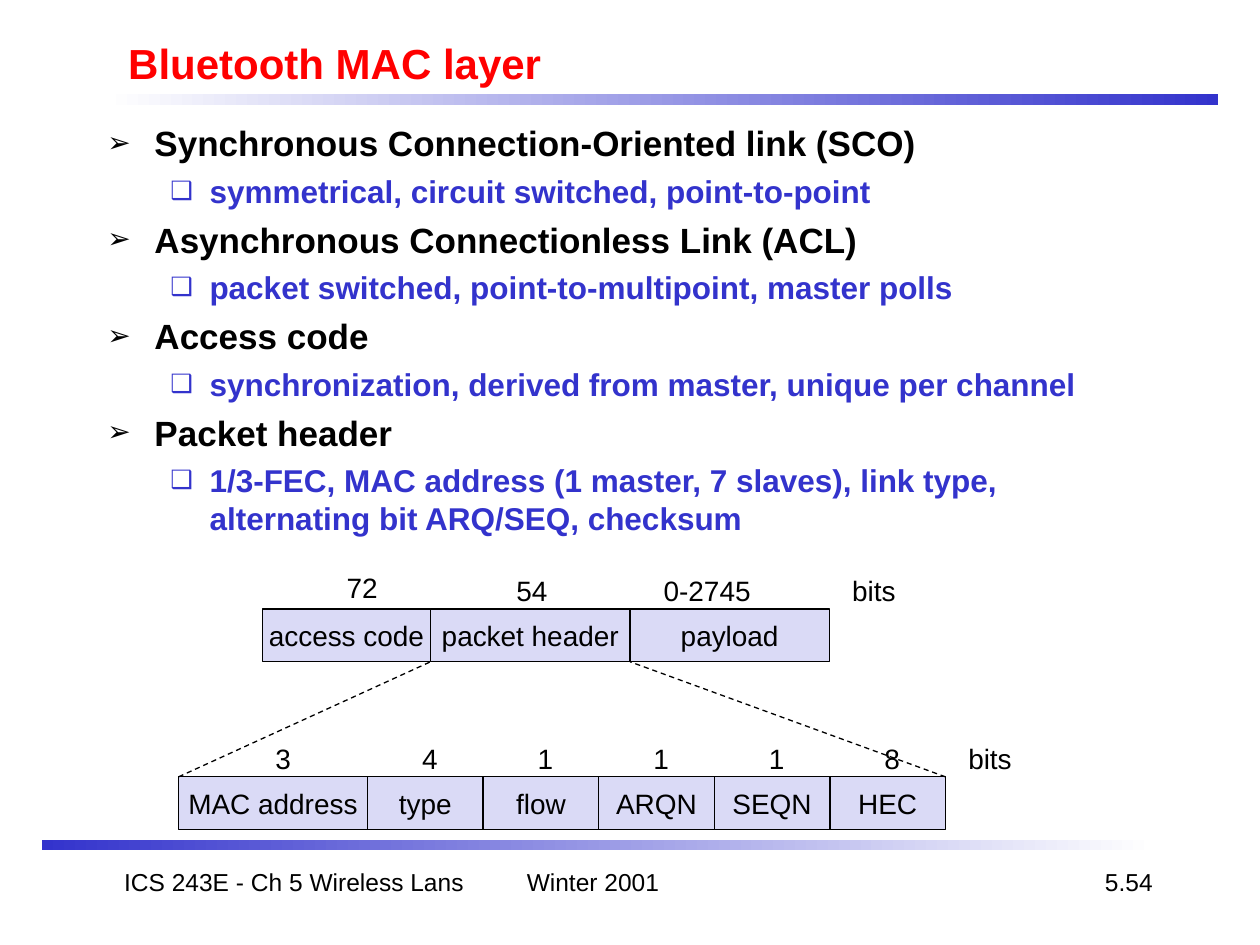
"""Build the Bluetooth MAC layer slide with its packet format diagram."""
from itertools import accumulate

from lxml.etree import SubElement
from pptx import Presentation
from pptx.dml.color import RGBColor
from pptx.enum.dml import MSO_LINE
from pptx.enum.shapes import MSO_CONNECTOR, MSO_SHAPE
from pptx.enum.text import MSO_ANCHOR, MSO_AUTO_SIZE, PP_ALIGN
from pptx.oxml.ns import qn
from pptx.util import Cm, Pt

BLACK = RGBColor(0x00, 0x00, 0x00)
WHITE = RGBColor(0xFF, 0xFF, 0xFF)
RED = RGBColor(0xFF, 0x00, 0x00)
BLUE = RGBColor(0x33, 0x33, 0xCC)
LAVENDER = RGBColor(0xDA, 0xDA, 0xF6)
FONT = "Arial"

TITLE = "Bluetooth MAC layer"
TOPICS = [
    ("Synchronous Connection-Oriented link (SCO)",
     "symmetrical, circuit switched, point-to-point"),
    ("Asynchronous Connectionless Link (ACL)",
     "packet switched, point-to-multipoint, master polls"),
    ("Access code",
     "synchronization, derived from master, unique per channel"),
    ("Packet header",
     "1/3-FEC, MAC address (1 master, 7 slaves), link type, "
     "alternating bit ARQ/SEQ, checksum"),
]
# level: bullet, colour, size, space before, left margin, hanging indent
LEVELS = [
    ("➢", BLACK, 20, 5, 0.95, 0.95),
    ("❑", BLUE, 18, 4.5, 2.06, 0.79),
]
BARS = [(2.12, 1.9, WHITE, BLUE), (0.85, 16.93, BLUE, WHITE)]
FOOTERS = [
    ("ICS 243E - Ch 5 Wireless Lans", 1.91, 8.04, PP_ALIGN.CENTER),
    ("Winter 2001", 10.37, 5.29, PP_ALIGN.LEFT),
    ("5.54", 18.2, 5.29, PP_ALIGN.RIGHT),
]
PACKET = [("access code", 3.39), ("packet header", 4.02), ("payload", 4.02)]
HEADER = [("MAC address", 3.81), ("type", 2.33), ("flow", 2.33),
          ("ARQN", 2.33), ("SEQN", 2.33), ("HEC", 2.33)]
PACKET_LEFT, PACKET_TOP = 5.29, 12.28
HEADER_LEFT, HEADER_TOP = 3.6, 15.66
CELL_H = 1.06
PACKET_BITS = [("72", 6.74, 11.38, 1.14), ("54", 10.16, 11.43, 1.14),
               ("0-2745", 13.13, 11.43, 2.26), ("bits", 16.93, 11.43, 1.4)]
HEADER_BITS = [("3", 5.3, 14.82, 0.81)]
HEADER_BITS += [(n, 8.26 + 2.33 * i, 14.82, 0.81) for i, n in enumerate("41118")]
HEADER_BITS += [("bits", 19.27, 14.82, 1.4)]


def style(p, size, color, bold=False, align=PP_ALIGN.LEFT):
    p.alignment = align
    for r in p.runs:
        r.font.name, r.font.size = FONT, Pt(size)
        r.font.bold, r.font.color.rgb = bold, color


def place(sp, left, top, width, height):
    sp.left, sp.top, sp.width, sp.height = map(Cm, (left, top, width, height))


def add_bullet(p, char, color, margin, hang):
    pPr = p._p.get_or_add_pPr()
    pPr.set("marL", str(Cm(margin)))
    pPr.set("indent", str(-Cm(hang)))
    clr = SubElement(pPr, qn("a:buClr"))
    SubElement(clr, qn("a:srgbClr"), val=str(color))
    SubElement(pPr, qn("a:buSzPct"), val="80000")
    SubElement(pPr, qn("a:buFont"), typeface=FONT)
    SubElement(pPr, qn("a:buChar"), char=char)


def add_rect(s, left, top, width, height):
    sp = s.shapes.add_shape(MSO_SHAPE.RECTANGLE, *map(Cm, (left, top, width, height)))
    sp.shadow.inherit = False
    return sp


def add_bar(s, left, top, start, end):
    sp = add_rect(s, left, top, 22.44, 0.21)
    sp.line.fill.background()
    sp.fill.gradient()
    sp.fill.gradient_angle = 0
    for stop, color in zip(sp.fill.gradient_stops, (start, end)):
        stop.color.rgb = color


def add_label(s, text, left, top, width, height, size, align=PP_ALIGN.LEFT, wrap=False):
    sp = s.shapes.add_textbox(*map(Cm, (left, top, width, height)))
    tf = sp.text_frame
    tf.text = text
    tf.word_wrap = wrap
    tf.auto_size = MSO_AUTO_SIZE.NONE if wrap else MSO_AUTO_SIZE.SHAPE_TO_FIT_TEXT
    style(tf.paragraphs[0], size, BLACK, align=align)


def add_row(s, cells, left, top):
    edges = list(accumulate((w for _, w in cells), initial=left))
    for (text, width), x in zip(cells, edges):
        sp = add_rect(s, x, top, width, CELL_H)
        sp.fill.solid()
        sp.fill.fore_color.rgb = LAVENDER
        sp.line.color.rgb, sp.line.width = BLACK, Pt(0.75)
        tf = sp.text_frame
        tf.text = text
        tf.word_wrap = False
        tf.vertical_anchor = MSO_ANCHOR.MIDDLE
        style(tf.paragraphs[0], 16, BLACK, align=PP_ALIGN.CENTER)
    return edges


def add_dashed(s, x1, y1, x2, y2):
    line = s.shapes.add_connector(MSO_CONNECTOR.STRAIGHT, *map(Cm, (x1, y1, x2, y2)))
    line.line.color.rgb, line.line.width = BLACK, Pt(0.75)
    line.line.dash_style = MSO_LINE.DASH
    SubElement(line._element.spPr, qn("a:effectLst"))


def fill_title(sp):
    place(sp, 2.33, 0.62, 21.59, 1.27)
    tf = sp.text_frame
    tf.text = TITLE
    tf.auto_size = MSO_AUTO_SIZE.NONE
    tf.vertical_anchor = MSO_ANCHOR.MIDDLE
    style(tf.paragraphs[0], 24, RED, bold=True)


def fill_body(sp):
    place(sp, 1.91, 2.33, 21.59, 14.61)
    tf = sp.text_frame
    tf.text = "\n".join(text for topic in TOPICS for text in topic)
    tf.auto_size = MSO_AUTO_SIZE.NONE
    for i, p in enumerate(tf.paragraphs):
        p.level = i % 2
        char, color, size, before, margin, hang = LEVELS[p.level]
        add_bullet(p, char, color, margin, hang)
        p.space_before = Pt(before if i else 0)
        style(p, size, color, bold=True)


def main():
    prs = Presentation()
    prs.slide_width, prs.slide_height = Cm(25.4), Cm(19.05)
    s = prs.slides.add_slide(prs.slide_layouts[1])
    fill_title(s.shapes.title)
    fill_body(s.placeholders[1])
    for bar in BARS:
        add_bar(s, *bar)
    for text, left, width, align in FOOTERS:
        add_label(s, text, left, 17.36, width, 1.27, 14, align, wrap=True)
    packet = add_row(s, PACKET, PACKET_LEFT, PACKET_TOP)
    header = add_row(s, HEADER, HEADER_LEFT, HEADER_TOP)
    for text, left, top, width in PACKET_BITS + HEADER_BITS:
        add_label(s, text, left, top, width, 0.94, 16)
    for x1, x2 in ((header[0], packet[1]), (header[-1], packet[2])):
        add_dashed(s, x1, HEADER_TOP, x2, PACKET_TOP + CELL_H)
    prs.save("out.pptx")


if __name__ == "__main__":
    main()
